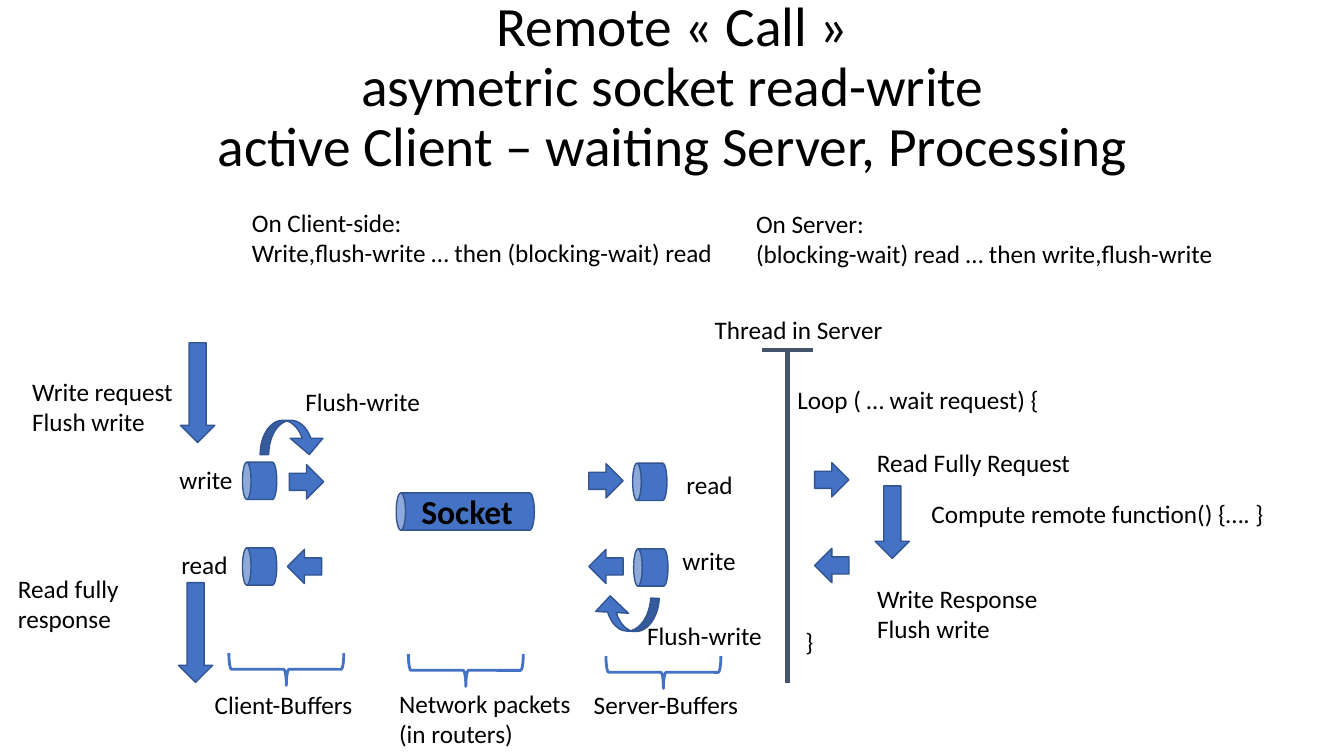
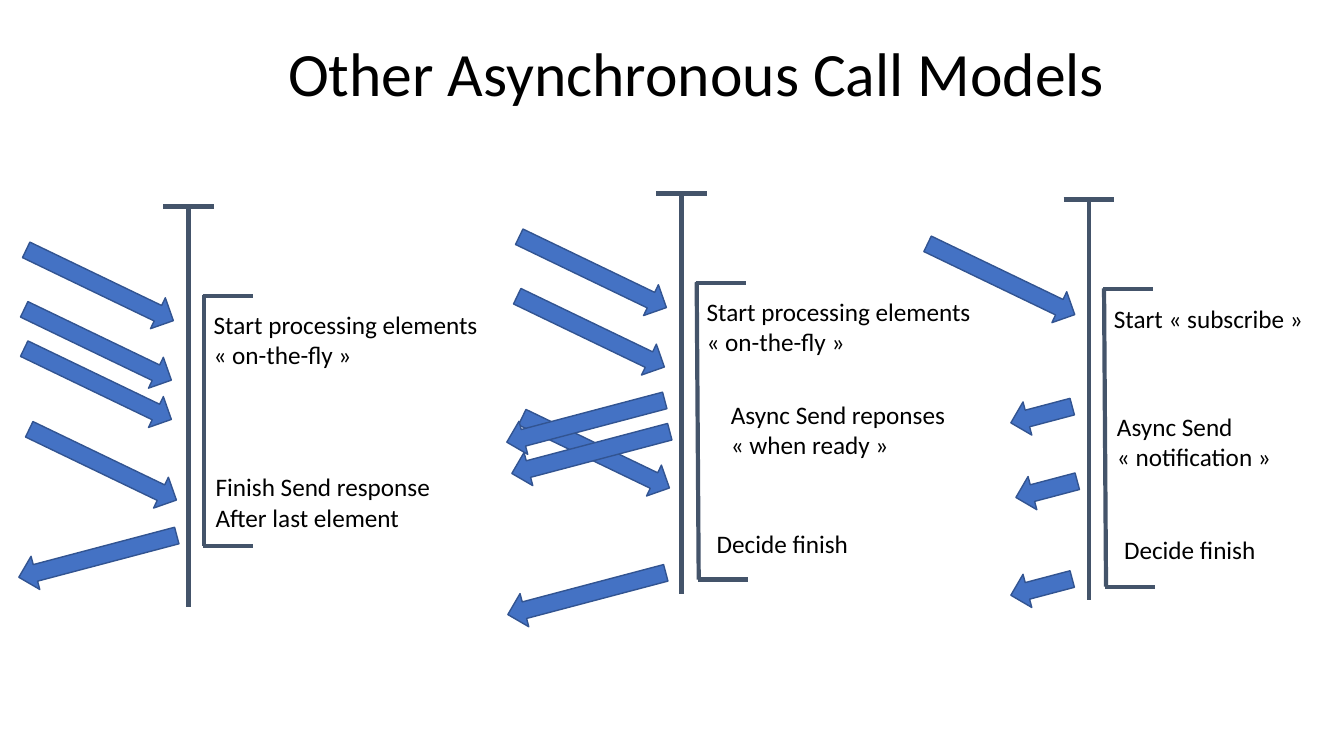
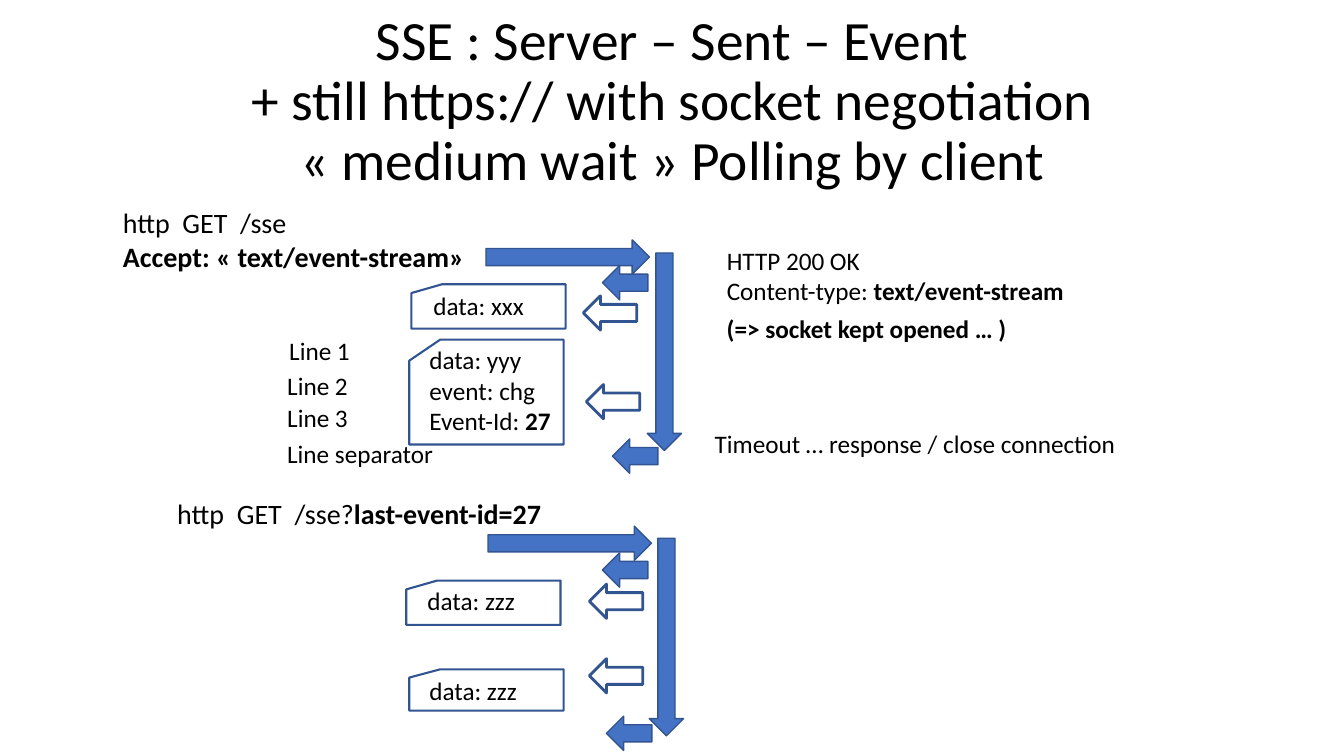
from lxml import etree
from pptx import Presentation
from pptx.dml.color import RGBColor
from pptx.enum.shapes import MSO_CONNECTOR, MSO_SHAPE
from pptx.enum.text import MSO_ANCHOR, MSO_AUTO_SIZE, PP_ALIGN
from pptx.oxml.ns import qn
from pptx.util import Inches, Pt

DOWN_ARROW = MSO_SHAPE.DOWN_ARROW
CURVED_ARROW = MSO_SHAPE.CURVED_DOWN_ARROW
CAN = MSO_SHAPE.CAN
BRACE = MSO_SHAPE.RIGHT_BRACE
CARD = MSO_SHAPE.FLOWCHART_CARD
STRAIGHT = MSO_CONNECTOR.STRAIGHT
MIDDLE = MSO_ANCHOR.MIDDLE
CENTER = PP_ALIGN.CENTER
FIT_TEXT = MSO_AUTO_SIZE.SHAPE_TO_FIT_TEXT

COLORS = {"text": "000000", "blue": "4472C4", "edge": "325491", "axis": "44546A"}
FONT = {"name": "Calibri", "bold": False}
TITLE_FRAME = {"word_wrap": True, "vertical_anchor": MIDDLE}
TITLE_PARAGRAPH = {"alignment": CENTER, "line_spacing": 0.9}
DOWN, LEFT, RIGHT = 0, 90, 270
REQUEST, RESPONSE = 295.7, 75.2
THICK = 0.34


def color(name):
    return RGBColor.from_string(COLORS[name])


def apply(target, values):
    for name, value in values.items():
        setattr(target, name, value)


class Deck:
    def __init__(self):
        self.presentation = Presentation()
        self.presentation.slide_width = Inches(13.33)
        self.presentation.slide_height = Inches(7.5)
        self.shapes = None

    def slide(self):
        blank = self.presentation.slide_layouts[6]
        self.shapes = self.presentation.slides.add_slide(blank).shapes

    def run(self, paragraph, words, size, **changes):
        run = paragraph.add_run()
        run.text = words
        apply(run.font, {**FONT, "size": Pt(size), **changes})
        run.font.color.rgb = color("text")

    def box(self, left, top, width, height, frame_format):
        box = self.shapes.add_textbox(*map(Inches, (left, top, width, height)))
        apply(box.text_frame, frame_format)
        return box.text_frame

    def title(self, left, top, height, lines, size=39.6):
        frame = self.box(left, top, 11.5, height, TITLE_FRAME)
        paragraph = frame.paragraphs[0]
        apply(paragraph, TITLE_PARAGRAPH)
        for index, line in enumerate(lines):
            if index:
                paragraph.add_line_break()
            self.run(paragraph, line, size)

    def text(self, left, top, width, *lines, size=18, wrap=False):
        height = 0.1 + len(lines) * size / 60
        frame = self.box(left, top, width, height, {"word_wrap": wrap, "auto_size": FIT_TEXT})
        for index, line in enumerate(lines):
            paragraph = frame.add_paragraph() if index else frame.paragraphs[0]
            for part, words in enumerate(line.split("*")):
                if words:
                    self.run(paragraph, words, size, bold=part % 2 == 1)

    def shape(self, kind, left, top, width, height, rotation=0,
              fill="blue", edge="edge", weight=1, adjustments=()):
        shape = self.shapes.add_shape(kind, *map(Inches, (left, top, width, height)))
        shape.shadow.inherit = False
        shape.rotation = rotation
        for index, value in enumerate(adjustments):
            shape.adjustments[index] = value
        if fill:
            shape.fill.solid()
            shape.fill.fore_color.rgb = color(fill)
        else:
            shape.fill.background()
        shape.line.color.rgb = color(edge)
        shape.line.width = Pt(weight)

    def arrow(self, left, top, length, direction, **style):
        self.shape(DOWN_ARROW, left, top, THICK, length, direction, **style)

    def flush(self, left, top, rotation=0):
        self.shape(CURVED_ARROW, left, top, 0.65, THICK, rotation,
                   adjustments=(0.25, 0.997, 0.476))

    def line(self, x1, y1, x2, y2):
        line = self.shapes.add_connector(STRAIGHT, *map(Inches, (x1, y1, x2, y2)))
        line.line.color.rgb = color("axis")
        line.line.width = Pt(3)
        etree.SubElement(line._element.spPr, qn("a:effectLst"))

    def thread(self, x, top, length):
        self.line(x, top, x, top + length)
        self.line(x - 0.25, top, x + 0.25, top)

    def bracket(self, left, top, height, slant):
        self.line(left, top, left + 0.5, top)
        self.line(left + slant, top + height, left + slant + 0.5, top + height)
        self.line(left + 0.01, top - 0.01, left + 0.01 + slant, top + height)


def remote_call(deck):
    deck.slide()
    deck.title(0.92, 0.02, 1.71, [
        "Remote « Call »",
        "asymetric socket read-write",
        "active Client – waiting Server, Processing",
    ])
    deck.thread(7.81, 3.47, 3.31)
    deck.shape(CAN, 4.43, 4.39, 0.37, 1.37, RIGHT)
    for left, top in ((2.39, 4.6), (2.39, 5.45), (6.26, 4.61), (6.27, 5.46)):
        deck.shape(CAN, left, top, 0.37, THICK, RIGHT)
    for left, top, direction in (
        (2.87, 4.61, RIGHT), (5.84, 4.6, RIGHT), (8.08, 4.59, RIGHT),
        (2.85, 5.45, LEFT), (5.84, 5.45, LEFT), (8.08, 5.44, LEFT),
    ):
        deck.arrow(left, top, THICK, direction)
    for left, top, length in ((8.68, 4.82, 0.72), (1.79, 3.4, 0.99), (1.77, 5.78, 0.99)):
        deck.arrow(left, top, length, DOWN)
    for left, top in ((2.68, 6.07), (4.46, 6.08), (6.42, 6.1)):
        deck.shape(BRACE, left, top, 0.32, 1.14, 90, fill=None, edge="blue", weight=2)
    deck.flush(2.58, 4.17)
    deck.flush(5.88, 5.92, 183.1)

    for label in (
        (8.6, 4.39, 2.14, "Read Fully Request"),
        (8.6, 5.74, 1.81, "Write Response", "Flush write"),
        (6.99, 3.07, 1.89, "Thread in Server"),
        (9.14, 4.89, 3.54, "Compute remote function() {…. }"),
        (7.89, 6.16, 0.28, "}"),
        (7.81, 3.76, 2.63, "Loop ( … wait request) {"),
        (1.7, 5.4, 0.67, "read"),
        (6.71, 4.61, 0.67, "read"),
        (2.4, 2.01, 4.93, "On Client-side:", "Write,flush-write … then (blocking-wait) read"),
        (7.4, 2.02, 4.81, "On Server:", "(blocking-wait) read … then write,flush-write"),
        (0.22, 3.68, 1.61, "Write request", "Flush write"),
        (0.08, 5.64, 1.27, "Read fully", "response"),
        (2.03, 6.79, 1.59, "Client-Buffers"),
        (3.86, 6.78, 1.92, "Network packets", "(in routers)"),
        (5.79, 6.79, 1.72, "Server-Buffers"),
    ):
        deck.text(*label)
    for label in (
        (1.68, 4.56, 0.95, "write"),
        (6.67, 5.36, 0.95, "write"),
        (2.93, 3.78, 1.49, "Flush-write"),
        (6.32, 6.11, 1.49, "Flush-write"),
    ):
        deck.text(*label, wrap=True)
    deck.text(4.08, 4.82, 1.12, "*Socket*", size=24)


CALL_MODELS = (
    {
        "thread": (1.87, 2.05), "bracket": (2.48, 0), "response_length": 1.62,
        "requests": ((-1.05, -0.03), (-1.07, 0.95), (-1.07, 0.56), (-1.02, 1.75)),
        "responses": ((-1.07, 2.66),),
        "labels": (
            (0.15, 0.97, 2.85, "Start processing elements", "« on-the-fly »"),
            (0.17, 2.58, 2.35, "Finish Send response", "After last element"),
        ),
    },
    {
        "thread": (6.76, 1.92), "bracket": (2.94, 0.02), "response_length": 1.62,
        "requests": ((-1.05, -0.03), (-1.07, 0.56), (-1.02, 1.76)),
        "responses": ((-1.07, 1.76), (-1.12, 1.45), (-1.11, 3.16)),
        "labels": (
            (0.15, 0.97, 2.85, "Start processing elements", "« on-the-fly »"),
            (0.39, 1.99, 2.41, "Async Send reponses", "« when ready »"),
            (0.25, 3.27, 1.52, "Decide finish"),
        ),
    },
    {
        "thread": (10.8, 1.98), "bracket": (2.95, 0.02), "response_length": 0.63,
        "requests": ((-1.04, -0.02),),
        "responses": ((-0.59, 2.56), (-0.64, 1.82), (-0.64, 3.53)),
        "labels": (
            (0.15, 0.98, 2.1, "Start « subscribe »"),
            (0.18, 2.05, 1.75, "Async Send", "« notification »"),
            (0.25, 3.27, 1.52, "Decide finish"),
        ),
    },
)


def asynchronous_models(deck):
    deck.slide()
    deck.title(1.16, 0.03, 1.45, ["Other Asynchronous Call Models"], size=44)
    for model in CALL_MODELS:
        x, top = model["thread"]
        deck.thread(x, top, 3.97)
        deck.bracket(x + 0.14, top + 0.89, *model["bracket"])
        for dx, dy in model["requests"]:
            deck.arrow(x + dx, top + dy, 1.62, REQUEST)
        for dx, dy in model["responses"]:
            deck.arrow(x + dx, top + dy, model["response_length"], RESPONSE)
        for dx, dy, width, *lines in model["labels"]:
            deck.text(x + dx, top + dy, width, *lines)


def server_sent_events(deck):
    deck.slide()
    deck.title(0.92, 0, 2.03, [
        "SSE : Server – Sent – Event",
        "+ still https:// with socket negotiation",
        "« medium wait » Polling by client",
    ])
    for call, wait, accepted, closed in (
        ((5.46, 1.74), (6.42, 2.51), (6.03, 2.58), (6.13, 4.3)),
        ((5.48, 4.58), (6.44, 5.34), (6.03, 5.43), (6.07, 7.05)),
    ):
        deck.arrow(*call, 1.62, RIGHT)
        deck.arrow(*wait, 1.96, DOWN)
        for reply in (accepted, closed):
            deck.arrow(*reply, 0.45, LEFT)
    for left, top in ((5.88, 2.84), (5.91, 3.72), (5.94, 5.7), (5.94, 6.44)):
        deck.arrow(left, top, 0.53, LEFT, fill=None, weight=2)
    for left, top, height in (
        (4.08, 2.82, 0.44), (4.06, 3.37, 1.04), (4.03, 5.76, 0.44), (4.06, 6.64, 0.41),
    ):
        deck.shape(CARD, left, top, 1.53, height, fill=None, weight=1.5)

    for label in (
        (4.2, 2.83, 1.11, "data: xxx"),
        (4.16, 3.37, 1.43, "data: yyy", "event: chg", "Event-Id: *27*"),
        (4.14, 5.76, 1.08, "data: zzz"),
        (4.16, 6.65, 1.08, "data: zzz"),
        (2.77, 3.28, 0.81, "Line 1"),
        (2.75, 3.62, 0.81, "Line 2"),
        (2.75, 3.94, 0.81, "Line 3"),
        (2.75, 4.3, 1.67, "Line separator"),
        (7.11, 2.38, 3.59, "HTTP 200 OK", "Content-type: *text/event-stream*"),
        (7.11, 3.06, 3, "*(=> socket kept opened … )*"),
    ):
        deck.text(*label)
    deck.text(6.99, 4.2, 4.84, "Timeout … response / close connection", wrap=True)
    deck.text(1.12, 1.99, 3.61, "http  GET  /sse", "*Accept: « text/event-stream»*", size=20)
    deck.text(1.66, 4.88, 3.83, "http  GET  /sse?*last-event-id=27*", size=20)


def main():
    deck = Deck()
    remote_call(deck)
    asynchronous_models(deck)
    server_sent_events(deck)
    deck.presentation.save("out.pptx")


if __name__ == "__main__":
    main()
